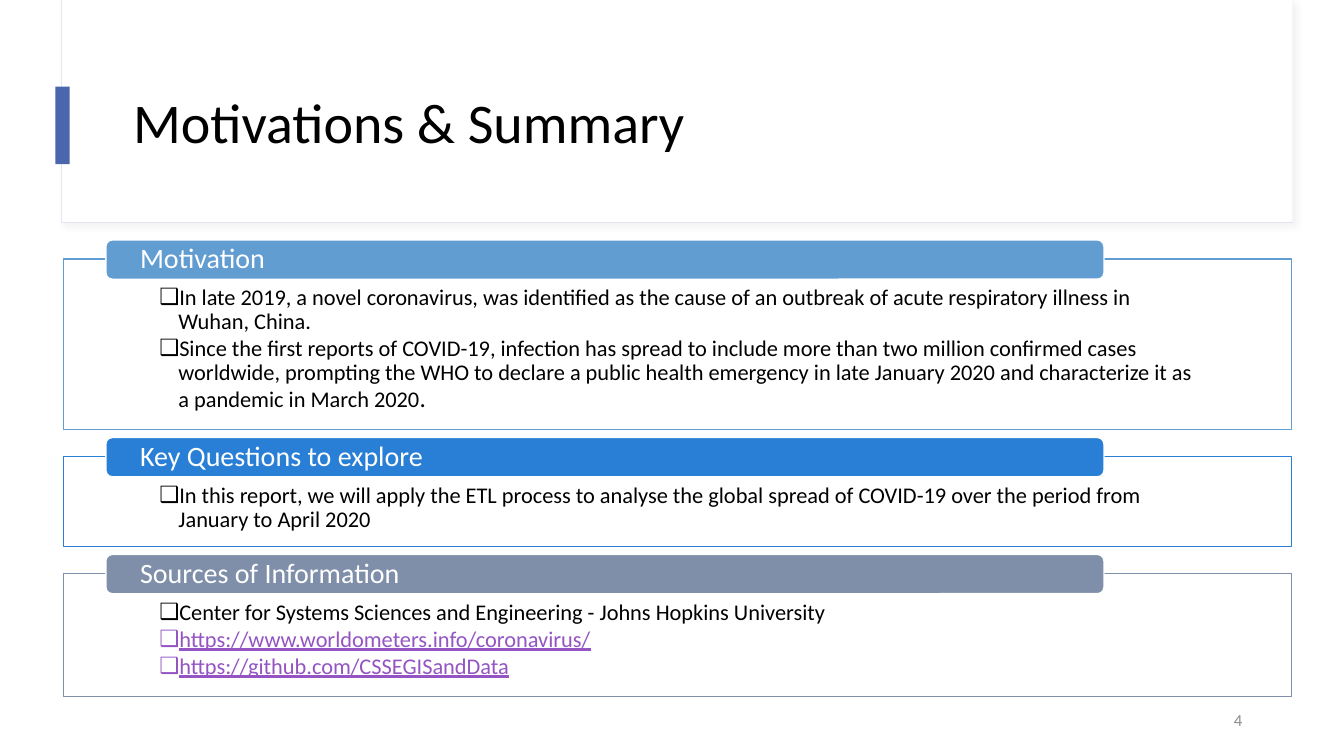
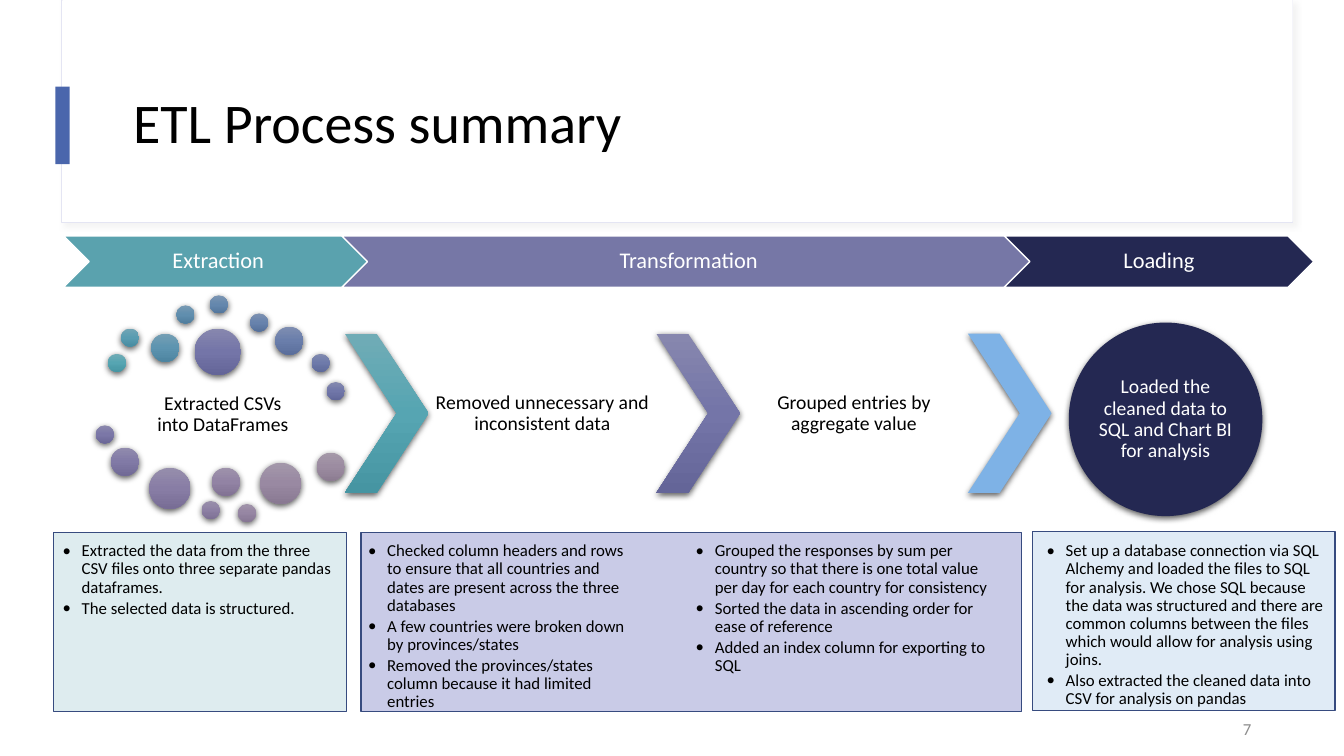
from copy import deepcopy
from dataclasses import dataclass

from lxml.etree import SubElement
from pptx import Presentation
from pptx.dml.color import RGBColor as Color
from pptx.enum.shapes import MSO_SHAPE as Preset
from pptx.enum.text import MSO_ANCHOR as Anchor
from pptx.enum.text import MSO_AUTO_SIZE as AutoSize
from pptx.enum.text import PP_ALIGN as Align
from pptx.oxml.ns import qn
from pptx.util import Inches, Pt


@dataclass(frozen=True)
class Theme:
    font: str = "Calibri"
    white: str = "FFFFFF"
    black: str = "000000"
    accent: str = "4A66AC"
    frame: str = "E4E5F3"
    haze: str = "D9D9D9"
    edge: str = "374B7F"
    sky: str = "629DD1"
    blue: str = "297FD5"
    slate: str = "7F8FA9"
    teal: str = "5AA2AE"
    violet: str = "7677A6"
    navy: str = "242852"
    light_blue: str = "7EB2E6"
    deep_teal: str = "56A5B2"
    deep_violet: str = "7475A8"
    pale_teal: str = "DEECEF"
    pale_violet: str = "C9CBE7"
    pale_blue: str = "E0EBF6"
    grey: str = "8C8C8C"
    link: str = "9454C3"

    def style(self, name):
        size, color = {
            "title": (40, self.black),
            "header": (20, self.white),
            "stage": (16, self.white),
            "item": (16, self.black),
            "stop": (18, self.black),
            "link": (16, self.link),
            "step": (14, self.black),
            "result": (14, self.white),
            "note": (12, self.black),
            "number": (12, self.grey),
        }[name]
        return {"size": Pt(size), "color": color, "underline": name == "link"}


class Deck:
    """Hold the theme and the current slide, and draw each kind of element."""

    def __init__(self, theme):
        self.theme = theme
        self.deck = Presentation()
        self.deck.slide_width, self.deck.slide_height = Inches(13.33), Inches(7.5)
        self.layout = self.deck.slide_layouts.get_by_name("Comparison")

    def start(self, title):
        self.page = self.deck.slides.add_slide(self.layout)
        self.bodies = [box for box in self.page.placeholders if box.placeholder_format.idx]
        if len(self.deck.slides) == 1:
            self.frame()
        box = self.page.shapes.title
        self.place(box, (1.22, 0.6, 11.12, 1.29))
        self.set_text(box, [[("title", title)]], Anchor.MIDDLE, margins=(0.1, 0.05))

    def frame(self):
        theme = self.theme
        parts = [
            self.shape((0.61, 0, 12.21, 2.21), theme.white, line=theme.frame, width=0.75,
                       shadow=(theme.haze, 30, 4, 3, 45)),
            self.shape((0.62, 0, 12.2, 2.2), theme.white),
            self.shape((0.55, 0.86, 0.14, 0.77), theme.accent),
        ]
        for index, part in enumerate(parts, 2):
            self.layout.shapes.element.insert(index, part.element)

    def finish(self, number, at):
        for box in self.bodies:
            box.element.getparent().remove(box.element)
        self.label((*at, 3, 0.4), "number", number, Align.RIGHT, (0.1, 0.05))

    def place(self, box, at):
        for name, value in zip(("left", "top", "width", "height"), at):
            setattr(box, name, Inches(value))

    def set_text(self, box, lines, anchor, align=Align.LEFT, margins=(0, 0), bullet=None):
        frame = box.text_frame
        side, edge = (Inches(value) for value in margins)
        settings = {"word_wrap": True, "auto_size": AutoSize.NONE, "vertical_anchor": anchor,
                    "margin_left": side, "margin_right": side,
                    "margin_top": edge, "margin_bottom": edge}
        for name, value in settings.items():
            setattr(frame, name, value)
        for index, spans in enumerate(lines):
            para = frame.add_paragraph() if index else frame.paragraphs[0]
            settings = {"alignment": align, "line_spacing": 0.9, "space_before": Pt(0)}
            if bullet:
                settings["space_after"] = Pt(2)
            for name, value in settings.items():
                setattr(para, name, value)
            if bullet:
                self.bullet(para, bullet)
            for style, text in spans:
                self.span(para, style, text)

    def bullet(self, para, symbol):
        props = para._p.get_or_add_pPr()
        props.set("marL", str(Inches(0.19)))
        props.set("indent", str(Inches(-0.19)))
        SubElement(props, qn("a:buFont")).set("typeface", self.theme.font)
        SubElement(props, qn("a:buChar")).set("char", symbol)

    def span(self, para, style, text):
        span = para.add_run()
        span.text = text
        settings = self.theme.style(style)
        span.font.color.rgb = Color.from_string(settings.pop("color"))
        for name, value in {"name": self.theme.font, "bold": False, **settings}.items():
            setattr(span.font, name, value)

    def shape(self, at, fill, preset=Preset.RECTANGLE, line=None, width=1, shadow=None):
        box = self.page.shapes.add_shape(preset, *(Inches(value) for value in at))
        box.fill.solid()
        box.fill.fore_color.rgb = Color.from_string(fill)
        if line:
            box.line.color.rgb = Color.from_string(line)
            box.line.width = Pt(width)
        else:
            box.line.fill.background()
        box.shadow.inherit = False
        if shadow:
            self.cast(box, *shadow)
        return box

    def cast(self, box, color, opacity, blur, distance, angle):
        effects = box.element.spPr.find(qn("a:effectLst"))
        outer = SubElement(effects, qn("a:outerShdw"), blurRad=str(Pt(blur)),
                           dist=str(Pt(distance)), dir=str(angle * 60000),
                           algn="ctr", rotWithShape="0")
        tone = SubElement(outer, qn("a:srgbClr"), val=color)
        SubElement(tone, qn("a:alpha"), val=str(opacity * 1000))

    def raised(self, at, fill, preset=Preset.OVAL, glossy=True):
        box = self.shape(at, fill, preset, shadow=(self.theme.black, 63, 4.5, 1.5, 90))
        if glossy:
            self.gloss(box, Color.from_string(fill))
        return box

    def gloss(self, box, base):
        top = Color(*(round(part + 0.24 * (194 - part)) for part in base))
        bottom = Color(*(part - 16 for part in base))
        box.fill.gradient()
        box.fill.gradient_angle = 270
        stops = box.element.spPr.find(".//" + qn("a:gsLst"))
        stops.insert(1, deepcopy(stops[0]))
        for stop, color, position in zip(box.fill.gradient_stops, (top, base, bottom), (0, 0.5, 1)):
            stop.color.rgb = color
            stop.position = position

    def label(self, at, style, text, align=Align.CENTER, margins=(0.02, 0.02)):
        box = self.page.shapes.add_textbox(*(Inches(value) for value in at))
        self.set_text(box, [[(style, text)]], Anchor.MIDDLE, align, margins)

    def bullets(self, at, lines, symbol):
        box = self.bodies.pop(0)
        self.place(box, at)
        self.page.shapes.element.append(box.element)
        self.set_text(box, lines, Anchor.TOP, bullet=symbol)

    def card(self, top, height, color, header, lines):
        self.shape((0.63, top, 12.18, height), self.theme.white, line=color)
        self.bullets((1.58, top + 0.27, 10.28, height - 0.39), lines, "❑")
        bar = self.shape((1.05, top - 0.19, 9.9, 0.39), color, Preset.ROUNDED_RECTANGLE,
                         line=self.theme.white)
        self.set_text(bar, [[("header", header)]], Anchor.MIDDLE, margins=(0.32, 0))

    def stage(self, left, width, color, text):
        box = self.shape((left, 2.34, width, 0.51), color, Preset.CHEVRON, line=self.theme.white)
        self.set_text(box, [[("stage", text)]], Anchor.MIDDLE, Align.CENTER, (0.02, 0.02))

    def arrow(self, left, color, glossy=True):
        box = self.raised((left, 3.31, 0.83, 1.58), color, Preset.CHEVRON, glossy)
        box.adjustments[0] = 0.62


def motivation(deck):
    theme = deck.theme
    deck.start("Motivations & Summary")
    deck.card(2.57, 1.69, theme.sky, "Motivation", [
        [("item", "In late 2019, a novel coronavirus, was identified as the cause of an outbreak "
                  "of acute respiratory illness in Wuhan, China.")],
        [("item", "Since the first reports of COVID-19, infection has spread to include more than "
                  "two million confirmed cases worldwide, prompting the WHO to declare a public "
                  "health emergency in late January 2020 and characterize it as a pandemic in "
                  "March 2020"), ("stop", ".")],
    ])
    deck.card(4.53, 0.89, theme.blue, "Key Questions to explore", [
        [("item", "In this report, we will apply the ETL process to analyse the global spread of "
                  "COVID-19 over the period from January to April 2020")],
    ])
    deck.card(5.69, 1.22, theme.slate, "Sources of Information", [
        [("item", "Center for Systems Sciences and Engineering - Johns Hopkins University")],
        [("link", "https://www.worldometers.info/coronavirus/")],
        [("link", "https://github.com/CSSEGISandData")],
    ])
    deck.finish("4", (9.42, 6.95))


def process(deck):
    theme = deck.theme
    deck.start("ETL Process summary")
    deck.label((1.45, 3.74, 1.52, 0.74), "step", "Extracted CSVs into DataFrames")
    bubbles = [
        (1.07, 3.51, 0.18, "56A5B2"), (1.2, 3.26, 0.18, "599CB1"), (1.5, 3.31, 0.28, "5D94B0"),
        (1.75, 3.03, 0.18, "608EAE"), (2.08, 2.93, 0.18, "6487AD"), (2.48, 3.11, 0.18, "6782AC"),
        (2.73, 3.24, 0.28, "6A7EAB"), (3.09, 3.51, 0.18, "6E7AAA"), (3.24, 3.79, 0.18, "7177A9"),
        (1.93, 3.26, 0.46, "7475A8"), (0.95, 4.22, 0.18, "7B77A7"), (1.1, 4.44, 0.28, "817AA6"),
        (1.48, 4.64, 0.41, "887DA5"), (2, 4.97, 0.18, "8D80A4"), (2.1, 4.64, 0.28, "9283A4"),
        (2.36, 5, 0.18, "9686A3"), (2.58, 4.59, 0.41, "9989A2"), (3.14, 4.49, 0.28, "9C8CA1"),
    ]
    for left, top, size, color in bubbles:
        deck.raised((left, top, size, size), color)

    steps = [
        (theme.deep_teal, "Removed unnecessary and inconsistent data"),
        (theme.deep_violet, "Grouped entries by aggregate value"),
    ]
    for index, (color, text) in enumerate(steps):
        left = 3.42 + 3.09 * index
        deck.arrow(left, color)
        deck.label((left + 0.83, 3.31, 2.26, 1.58), "step", text)
    deck.arrow(9.6, theme.light_blue, glossy=False)
    circle = deck.raised((10.6, 3.2, 1.92, 1.92), theme.navy, glossy=False)
    result = "Loaded the cleaned data to SQL and Chart BI for analysis"
    deck.set_text(circle, [[("result", result)]], Anchor.MIDDLE, Align.CENTER)

    panels = [(0.53, 5.28, 2.91, theme.pale_teal), (3.58, 5.28, 6.55, theme.pale_violet),
              (10.24, 5.27, 3, theme.pale_blue)]
    for left, top, width, color in panels:
        deck.shape((left, top, width, 1.78), color, line=theme.edge)

    notes = [
        (0.62, 2.67, ["Extracted the data from the three CSV files onto three separate pandas "
                      "dataframes.",
                      "The selected data is structured."]),
        (3.65, 2.67, ["Checked column headers and rows to ensure that all countries and dates are "
                      "present across the three databases",
                      "A few countries were broken down by provinces/states",
                      "Removed the provinces/states column because it had limited entries"]),
        (6.9, 3.03, ["Grouped the responses by sum per country so that there is one total value "
                     "per day for each country for consistency",
                     "Sorted the data in ascending order for ease of reference",
                     "Added an index column for exporting to SQL"]),
        (10.38, 2.8, ["Set up a database connection via SQL Alchemy and loaded the files to SQL "
                      "for analysis. We chose SQL because the data was structured and there are "
                      "common columns between the files which would allow for analysis using "
                      "joins.",
                      "Also extracted the cleaned data into CSV for analysis on pandas"]),
    ]
    for left, width, texts in notes:
        deck.bullets((left, 5.38, width, 1.68), [[("note", text)] for text in texts], "•")

    deck.stage(0.63, 3.07, theme.teal, "Extraction")
    deck.stage(3.39, 6.88, theme.violet, "Transformation")
    deck.stage(9.96, 3.07, theme.navy, "Loading")
    deck.finish("7", (9.51, 7.04))


def main():
    deck = Deck(Theme())
    motivation(deck)
    process(deck)
    deck.deck.save("out.pptx")


if __name__ == "__main__":
    main()
